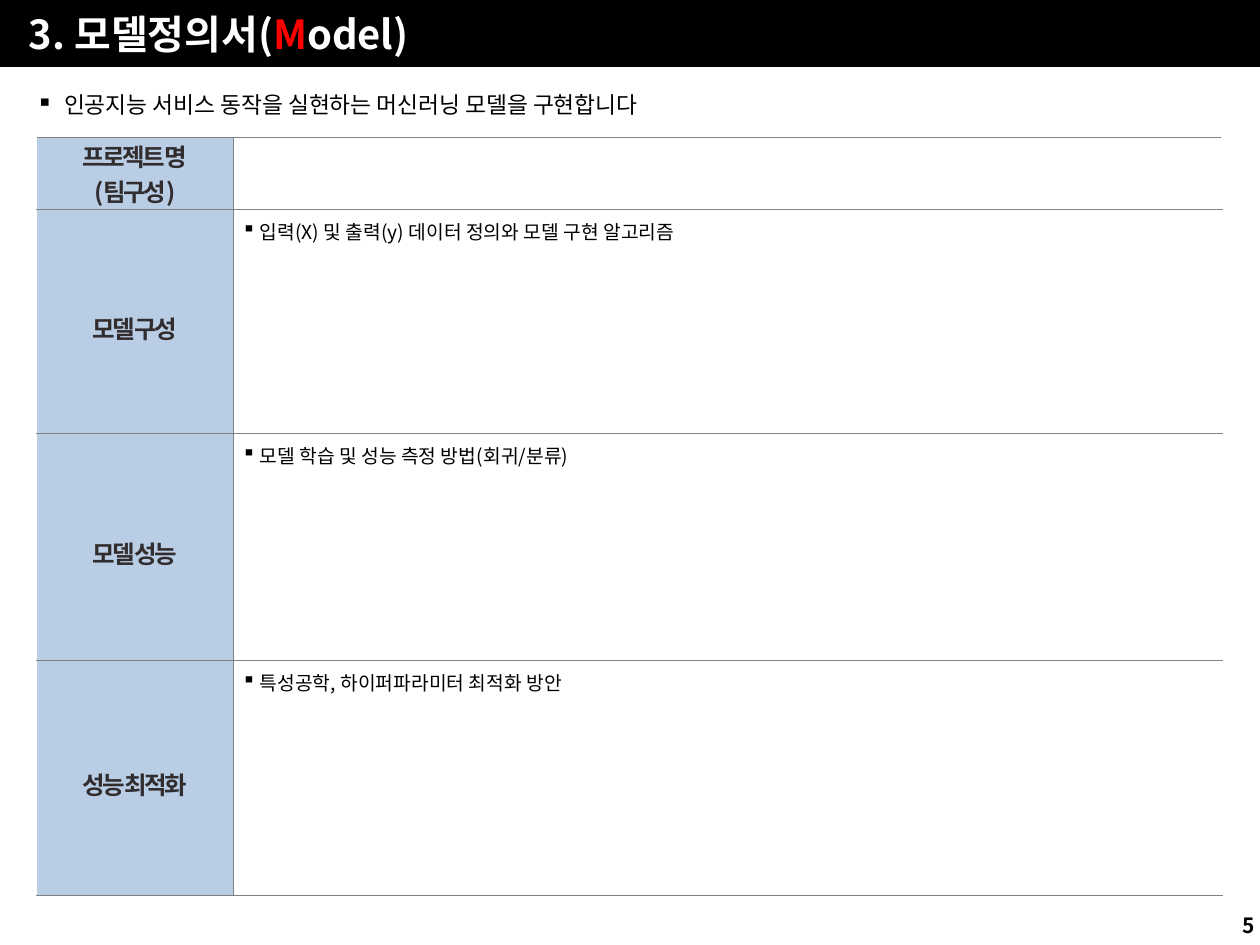
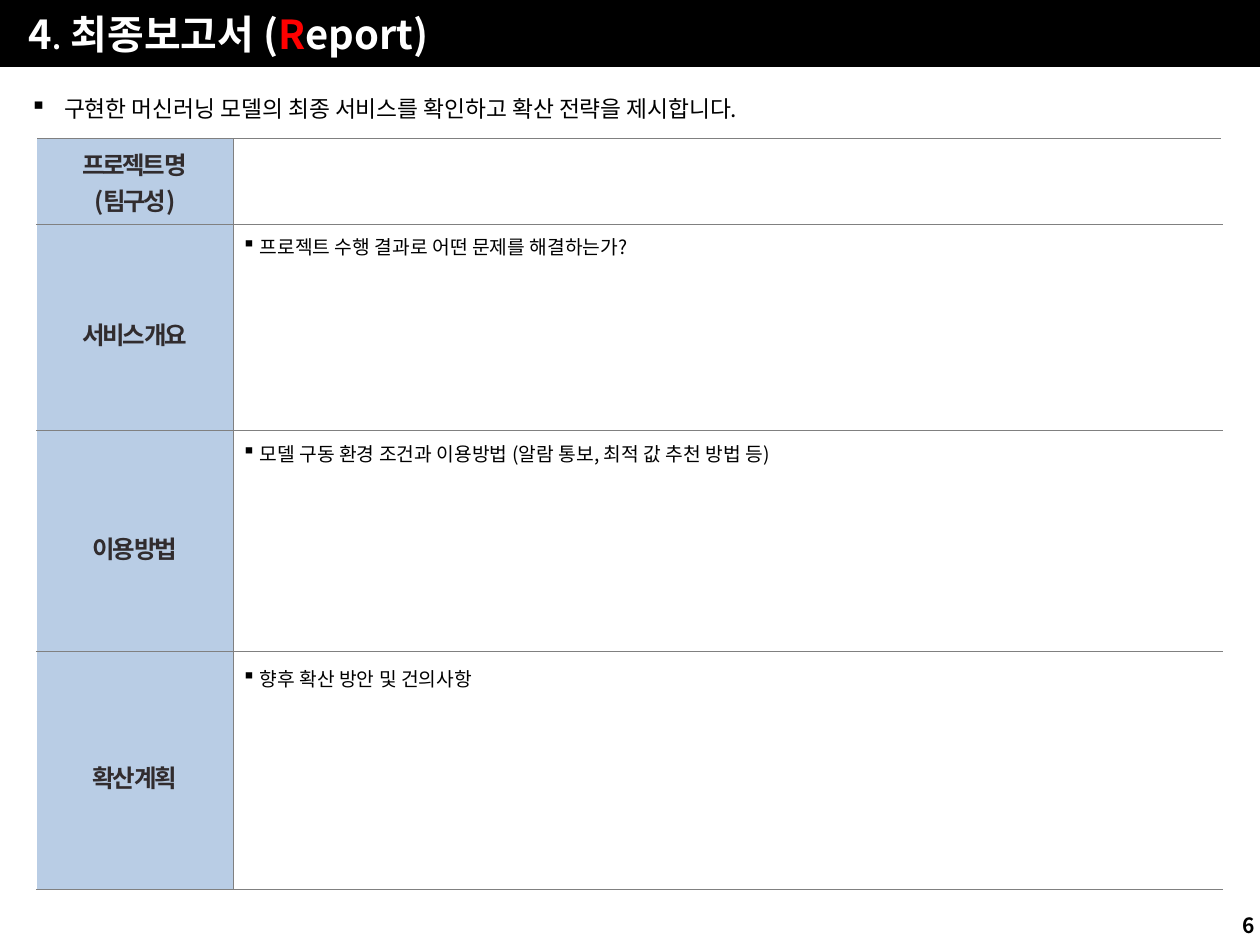
from lxml import etree
from pptx import Presentation
from pptx import util as u
from pptx.dml.color import RGBColor
from pptx.enum import text
from pptx.oxml import ns

COLORS = {
    "black": "000000",
    "white": "FFFFFF",
    "accent": "FF0000",
    "label_fill": "B9CDE5",
    "label_text": "312C2E",
    "rule": "808080",
}
FONT = "Noto Sans CJK KR"
GRID_COLUMNS, GRID_ROWS = 100, 75
TITLE_ONLY = 5
TEAM_LABEL = ["프로젝트 명", "(팀구성)"]


def color(name):
    return RGBColor.from_string(COLORS[name])


def child(parent, tag, **attributes):
    return etree.SubElement(parent, ns.qn(tag), **attributes)


class DefinitionDeck:
    def __init__(self):
        self.presentation = Presentation()
        self.presentation.slide_width = u.Inches(10)
        self.presentation.slide_height = u.Inches(7.5)
        self.slide = None

    def columns(self, count):
        return round(self.presentation.slide_width * count / GRID_COLUMNS)

    def rows(self, count):
        return round(self.presentation.slide_height * count / GRID_ROWS)

    def box(self, left, top, width, height):
        return self.columns(left), self.rows(top), self.columns(width), self.rows(height)

    def add_slide(self):
        layout = self.presentation.slide_layouts[TITLE_ONLY]
        self.slide = self.presentation.slides.add_slide(layout)

    def add_run(self, paragraph, wording, size, color_name="black", bold=False, spacing=0):
        run = paragraph.add_run()
        run.text = wording
        run.font.size = u.Pt(size)
        run.font.bold = bold
        run.font.color.rgb = color(color_name)
        run.font.name = FONT
        properties = run.font._element
        child(properties, "a:ea", typeface=FONT)
        if spacing:
            properties.set("spc", str(round(spacing * 100)))

    def add_bullet(self, paragraph, wording, size, indent, line_spacing=1.2):
        paragraph.line_spacing = line_spacing
        properties = paragraph._p.get_or_add_pPr()
        properties.set("marL", str(self.columns(indent)))
        properties.set("indent", str(-self.columns(indent)))
        child(properties, "a:buChar", char="▪")
        self.add_run(paragraph, wording, size)

    def add_title(self, pieces):
        title = self.slide.shapes.title
        title.left, title.top, title.width, title.height = self.box(0, 0.1, 100, 5.1)
        title.fill.solid()
        title.fill.fore_color.rgb = color("black")
        title.line.color.rgb = color("black")
        title.line.width = u.Pt(2)
        frame = title.text_frame
        frame.auto_size = text.MSO_AUTO_SIZE.NONE
        frame.vertical_anchor = text.MSO_ANCHOR.MIDDLE
        frame.margin_left = self.columns(2.3)
        frame.margin_top = frame.margin_bottom = 0
        paragraph = frame.paragraphs[0]
        paragraph.alignment = text.PP_ALIGN.LEFT
        for wording, size, color_name in pieces:
            self.add_run(paragraph, wording, size, color_name, bold=True)

    def add_intro(self, wording, left, top):
        shape = self.slide.shapes.add_textbox(*self.box(left, top, 89.5, 3.5))
        shape.text_frame.word_wrap = True
        self.add_bullet(shape.text_frame.paragraphs[0], wording, 13, 4.1 - left)

    def add_page_number(self, number):
        shape = self.slide.shapes.add_textbox(*self.box(93, 71.9, 7, 3.1))
        frame = shape.text_frame
        frame.word_wrap = True
        frame.vertical_anchor = text.MSO_ANCHOR.MIDDLE
        frame.margin_right = self.columns(0.4)
        frame.paragraphs[0].alignment = text.PP_ALIGN.RIGHT
        self.add_run(frame.paragraphs[0], str(number), 12, bold=True)

    def style_cell(self, cell, fill, edges):
        properties = cell._tc.get_or_add_tcPr()
        for edge in edges:
            line = child(properties, f"a:ln{edge}", w=str(u.Pt(0.75)))
            child(child(line, "a:solidFill"), "a:srgbClr", val=COLORS["rule"])
        cell.fill.solid()
        cell.fill.fore_color.rgb = color(fill)
        cell.margin_left = cell.margin_right = self.columns(0.7)
        cell.margin_top = cell.margin_bottom = self.rows(0.2)

    def fill_label(self, cell, lines):
        self.style_cell(cell, "label_fill", "RTB")
        cell.vertical_anchor = text.MSO_ANCHOR.MIDDLE
        if len(lines) > 1:
            cell.margin_top = cell.margin_bottom = 0
        for index, wording in enumerate(lines):
            frame = cell.text_frame
            paragraph = frame.add_paragraph() if index else frame.paragraphs[0]
            paragraph.alignment = text.PP_ALIGN.CENTER
            paragraph.line_spacing = 1.35 if len(lines) == 1 else 1.0
            self.add_run(paragraph, wording, 14, "label_text", bold=True, spacing=-1.5)

    def add_definition_table(self, top, heights, entries, last_spacing):
        frame = self.slide.shapes.add_table(
            len(heights), 2, *self.box(2.9, top, 94.1, sum(heights))
        )
        table = frame.table
        table.first_row = table.horz_banding = False
        for column, width in zip(table.columns, (15.6, 78.5)):
            column.width = self.columns(width)
        rows = [(TEAM_LABEL, None)] + [([label], prompt) for label, prompt in entries]
        for index, (height, (label, prompt)) in enumerate(zip(heights, rows)):
            table.rows[index].height = self.rows(height)
            self.fill_label(table.cell(index, 0), label)
            body = table.cell(index, 1)
            self.style_cell(body, "white", "LTB")
            if prompt:
                body.vertical_anchor = text.MSO_ANCHOR.TOP
                spacing = last_spacing if index == len(entries) else 1.2
                self.add_bullet(body.text_frame.paragraphs[0], prompt, 11, 1.4, spacing)


SLIDES = [
    {
        "title": [
            ("3. 모델정의서(", 22.8, "white"),
            ("M", 22.8, "accent"),
            ("odel)", 22.8, "white"),
        ],
        "intro": ("인공지능 서비스 동작을 실현하는 머신러닝 모델을 구현합니다", 1.9, 6.3),
        "table": {
            "top": 10.9,
            "heights": (5.7, 17.8, 18, 18.7),
            "last_spacing": 1.2,
            "entries": [
                ("모델 구성", "입력(X) 및 출력(y) 데이터 정의와 모델 구현 알고리즘"),
                ("모델 성능", "모델 학습 및 성능 측정 방법(회귀/분류)"),
                ("성능 최적화", "특성공학, 하이퍼파라미터 최적화 방안"),
            ],
        },
    },
    {
        "title": [
            ("4", 22.8, "white"),
            (".", 16, "white"),
            (" 최종보고서 (", 22.8, "white"),
            ("R", 22.8, "accent"),
            ("eport)", 22.8, "white"),
        ],
        "intro": (
            "구현한 머신러닝 모델의 최종 서비스를 확인하고 확산 전략을 제시합니다.", 1.4, 6.6
        ),
        "table": {
            "top": 11,
            "heights": (6.8, 16.4, 17.5, 18.9),
            "last_spacing": 1.35,
            "entries": [
                ("서비스 개요", "프로젝트 수행 결과로 어떤 문제를 해결하는가?"),
                ("이용 방법", "모델 구동 환경 조건과 이용방법 (알람 통보, 최적 값 추천 방법 등)"),
                ("확산 계획", "향후 확산 방안 및 건의사항"),
            ],
        },
    },
]


def main():
    deck = DefinitionDeck()
    for number, content in enumerate(SLIDES, start=5):
        deck.add_slide()
        deck.add_title(content["title"])
        deck.add_intro(*content["intro"])
        deck.add_page_number(number)
        deck.add_definition_table(**content["table"])
    deck.presentation.save("out.pptx")


if __name__ == "__main__":
    main()
